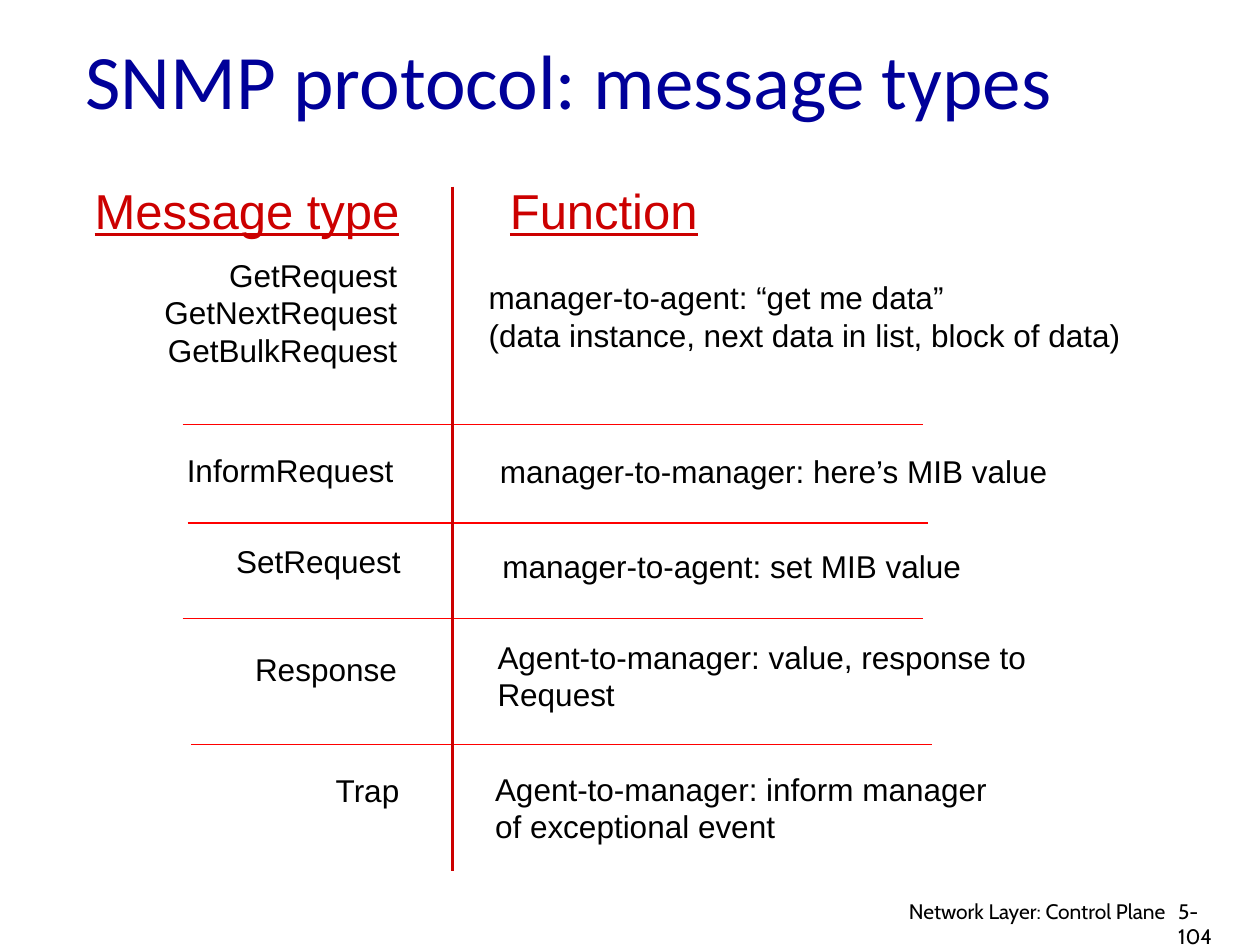
"""Build a slide that lists the SNMP message types and their functions."""
from lxml import etree
from pptx import Presentation
from pptx.dml.color import RGBColor
from pptx.enum.shapes import MSO_CONNECTOR
from pptx.enum.text import MSO_ANCHOR, PP_ALIGN
from pptx.oxml.ns import qn
from pptx.util import Cm, Pt

LEFT, RIGHT = PP_ALIGN.LEFT, PP_ALIGN.RIGHT
MIDDLE, TOP = MSO_ANCHOR.MIDDLE, MSO_ANCHOR.TOP
STRAIGHT = MSO_CONNECTOR.STRAIGHT
NAVY = RGBColor(0x00, 0x00, 0x99)
CRIMSON = RGBColor(0xCC, 0x00, 0x00)
RED = RGBColor(0xFF, 0x00, 0x00)
BLACK = RGBColor(0x00, 0x00, 0x00)

TITLE_FORMAT = {"name": "Calibri", "size": Pt(44), "color": NAVY}
HEADING_FORMAT = {"name": "Arial", "size": Pt(28), "color": CRIMSON, "underline": True}
BODY_FORMAT = {"name": "Arial", "size": Pt(18), "color": BLACK}
FOOTER_FORMAT = {"name": "Cabin", "size": Pt(12), "color": BLACK}

TITLE = "SNMP protocol: message types"
TITLE_BOX = (1.47, 0, 21.59, 3.18)
HEADINGS = [
    ("Message type", (1.57, 3.51, 6.73, 1.45), RIGHT),
    ("Function", (10.03, 3.51, 4.34, 1.45), LEFT),
]
ROWS = [
    (["GetRequest", "GetNextRequest", "GetBulkRequest"], (1.4, 5.03, 6.86, 3.33),
     ["manager-to-agent: “get me data”", "(data instance, next data in list, block of data)"],
     (9.6, 5.49, 13.5, 1.8)),
    (["InformRequest"], (1.02, 8.97, 7.16, 1.27),
     ["manager-to-manager: here’s MIB value"], (9.83, 8.99, 12.52, 1.02)),
    (["SetRequest"], (1.17, 10.8, 7.16, 1.27),
     ["manager-to-agent: set MIB value"], (9.88, 10.9, 11.86, 1.02)),
    (["Response"], (1.09, 12.98, 7.16, 1.27),
     ["Agent-to-manager: value, response to", "Request"], (9.78, 12.73, 11.76, 1.8)),
    (["Trap"], (1.14, 15.42, 7.16, 1.27),
     ["Agent-to-manager: inform manager", "of exceptional event"], (9.73, 15.39, 13.31, 1.8)),
]
ROW_RULE_STARTS = [(3.68, 8.56), (3.78, 10.54), (3.68, 12.47), (3.86, 15.01)]
ROW_RULE_LENGTH = 14.93
COLUMN_RULE = (9.12, 3.76, 9.12, 17.55)
FOOTERS = [
    ("5-104", (23.5, 17.98, 1.52, 0.76), LEFT),
    ("Network Layer: Control Plane", (17.7, 17.98, 6.05, 0.66), RIGHT),
]


def lengths(values):
    return [Cm(value) for value in values]


def write_text(shape, lines, text_format, alignment, anchor=TOP):
    frame = shape.text_frame
    frame.word_wrap = True
    frame.vertical_anchor = anchor
    frame.text = "\n".join(lines)
    for paragraph in frame.paragraphs:
        paragraph.alignment = alignment
        font = paragraph.runs[0].font
        for attribute, value in text_format.items():
            if attribute == "color":
                font.color.rgb = value
            else:
                setattr(font, attribute, value)


def add_text(slide, lines, box, text_format, alignment):
    write_text(slide.shapes.add_textbox(*lengths(box)), lines, text_format, alignment)


def add_rule(slide, ends, color, width):
    rule = slide.shapes.add_connector(STRAIGHT, *lengths(ends))
    rule.line.color.rgb = color
    rule.line.width = Pt(width)
    etree.SubElement(rule._element.spPr, qn("a:effectLst"))


def main():
    presentation = Presentation()
    presentation.slide_width, presentation.slide_height = lengths((25.4, 19.05))
    slide = presentation.slides.add_slide(presentation.slide_layouts[5])

    title = slide.shapes.title
    title.left, title.top, title.width, title.height = lengths(TITLE_BOX)
    write_text(title, [TITLE], TITLE_FORMAT, LEFT, MIDDLE)

    for text, box, alignment in HEADINGS:
        add_text(slide, [text], box, HEADING_FORMAT, alignment)
    for messages, message_box, function, function_box in ROWS:
        add_text(slide, messages, message_box, BODY_FORMAT, RIGHT)
        add_text(slide, function, function_box, BODY_FORMAT, LEFT)
    for left, top in ROW_RULE_STARTS:
        add_rule(slide, (left, top, left + ROW_RULE_LENGTH, top), RED, 1)
    add_rule(slide, COLUMN_RULE, CRIMSON, 2)
    for text, box, alignment in FOOTERS:
        add_text(slide, [text], box, FOOTER_FORMAT, alignment)

    presentation.save("out.pptx")


if __name__ == "__main__":
    main()
